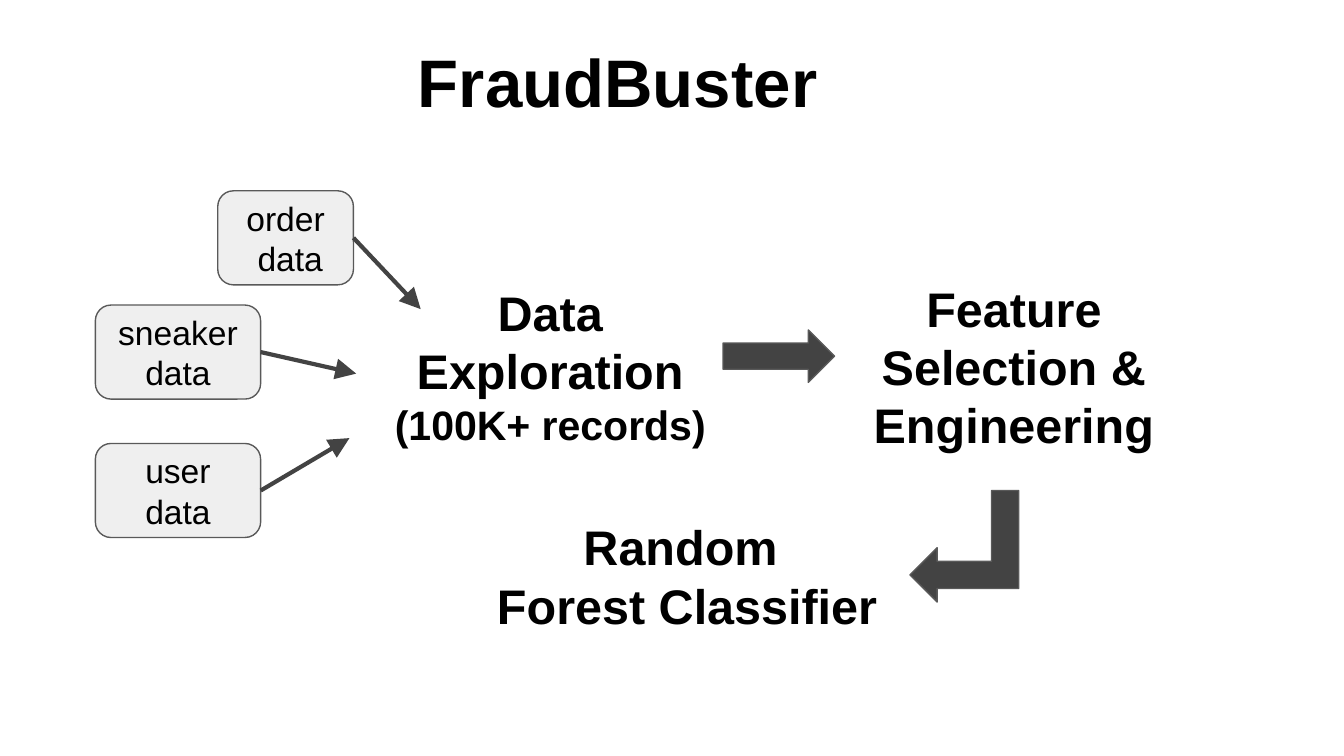
from dataclasses import dataclass

from lxml.etree import SubElement
from pptx import Presentation
from pptx.dml.color import RGBColor as Color
from pptx.enum.shapes import MSO_CONNECTOR as Connector, MSO_SHAPE as Shape
from pptx.enum.text import MSO_ANCHOR as Anchor, MSO_AUTO_SIZE as AutoSize, PP_ALIGN as Align
from pptx.oxml.ns import qn
from pptx.util import Pt

PX = 4572  # EMU per px, 200 px to the inch


@dataclass(frozen=True)
class Theme:
    font: str = "Arial"
    ink: Color = Color(0x00, 0x00, 0x00)
    arrow: Color = Color(0x43, 0x43, 0x43)
    outline: Color = Color(0x59, 0x59, 0x59)
    source: Color = Color(0xEF, 0xEF, 0xEF)
    title_size: int = 36
    step_size: int = 26
    note_size: int = 22
    source_size: int = 18


theme = Theme()


def write(shape, lines, anchor, align=Align.CENTER, bold=True):
    """Fill a shape with (text, size) lines, one paragraph each."""
    frame = shape.text_frame
    frame.word_wrap = True
    frame.auto_size = AutoSize.NONE
    frame.vertical_anchor = anchor
    frame.margin_left = frame.margin_right = 20 * PX
    frame.margin_top = frame.margin_bottom = 20 * PX
    for index, (text, size) in enumerate(lines):
        para = frame.paragraphs[0] if index == 0 else frame.add_paragraph()
        para.text = text
        para.alignment = align
        para.font.name = theme.font
        para.font.size = Pt(size)
        para.font.bold = bold
        para.font.color.rgb = theme.ink


def add_block(kind, bounds, fill):
    """Add a preset shape with a thin outline and no shadow."""
    block = page.shapes.add_shape(kind, *(n * PX for n in bounds))
    block.shadow.inherit = False
    block.fill.solid()
    block.fill.fore_color.rgb = fill
    block.line.color.rgb = theme.outline
    block.line.width = Pt(0.75)
    return block


deck = Presentation()
deck.slide_width, deck.slide_height = 2000 * PX, 1125 * PX
page = deck.slides.add_slide(deck.slide_layouts[5])

# Title
title = page.shapes.title
title.left, title.top, title.width, title.height = (n * PX for n in (602, -12, 656, 264))
write(title, [("FraudBuster", theme.title_size)], Anchor.MIDDLE, Align.LEFT)

# Pipeline steps
steps = [
    ((1220, 395, 578, 291), [("Feature Selection & Engineering", theme.step_size)]),
    ((530, 401, 578, 311), [("Data Exploration", theme.step_size),
                            ("(100K+ records)", theme.note_size)]),
    ((692, 750, 662, 262), [("Random ", theme.step_size),
                            ("Forest Classifier", theme.step_size)]),
]
for bounds, lines in steps:
    box = page.shapes.add_textbox(*(n * PX for n in bounds))
    write(box, lines, Anchor.TOP)

# Block arrows between the steps
add_block(Shape.RIGHT_ARROW, (1076, 491, 166, 78), theme.arrow)
bent_arrow = add_block(Shape.BENT_ARROW, (1354, 730, 162, 166), theme.arrow)
bent_arrow.rotation = 180
for index, value in enumerate((0.25, 0.25, 0.25, 0)):
    bent_arrow.adjustments[index] = value

# Data sources, each with an arrow into the exploration step
sources = [
    (["order", " data"], (324, 284, 202, 140), (626, 460)),
    (["sneaker data"], (142, 454, 246, 140), (530, 556)),
    (["user data"], (142, 660, 246, 140), (520, 652)),
]
for lines, bounds, (tip_x, tip_y) in sources:
    source = add_block(Shape.ROUNDED_RECTANGLE, bounds, theme.source)
    write(source, [(line, theme.source_size) for line in lines], Anchor.MIDDLE, bold=False)

    left, top, width, height = bounds
    arrow = page.shapes.add_connector(
        Connector.STRAIGHT, (left + width) * PX, (top + height // 2) * PX, tip_x * PX, tip_y * PX)
    arrow.begin_connect(source, 3)
    arrow.line.color.rgb = theme.arrow
    arrow.line.width = Pt(2.25)
    SubElement(arrow.line._get_or_add_ln(), qn("a:tailEnd"), type="triangle", w="lg", len="lg")
    SubElement(arrow._element.spPr, qn("a:effectLst"))

deck.save("out.pptx")
